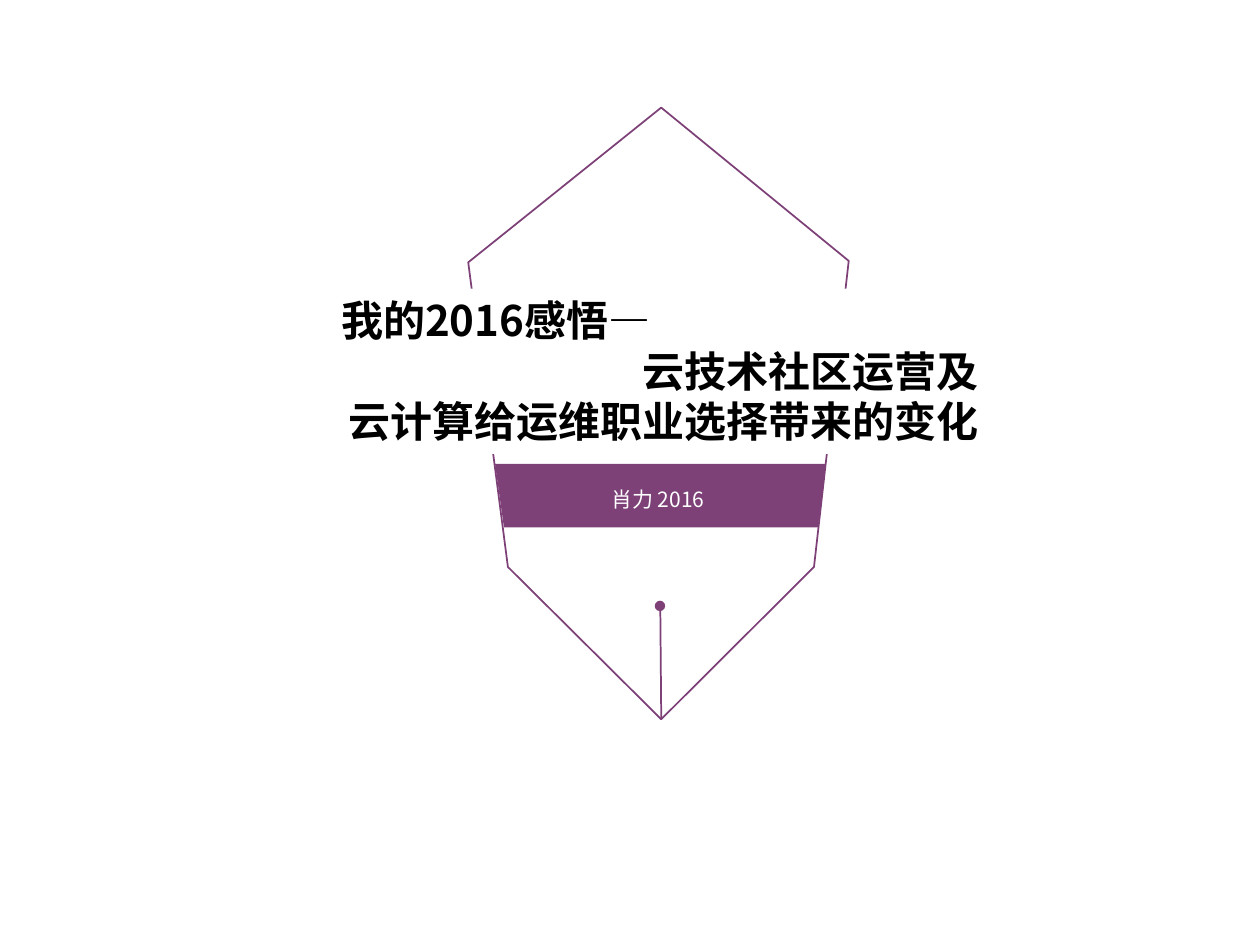
from pptx import Presentation
from pptx.dml.color import RGBColor
from pptx.enum.shapes import MSO_CONNECTOR, MSO_SHAPE
from pptx.enum.text import MSO_ANCHOR, PP_ALIGN
from pptx.oxml.ns import qn
from pptx.util import Cm, Pt

THEME = {
    "purple": RGBColor(0x7D, 0x41, 0x78),
    "white": RGBColor(0xFF, 0xFF, 0xFF),
    "black": RGBColor(0x00, 0x00, 0x00),
    "font": "Noto Sans CJK SC",
    "title": Pt(24),
    "caption": Pt(12),
    "stroke": Pt(1),
    "leading": 1.2,
}


def write_line(paragraph, text, *, size, color, bold=False, align=PP_ALIGN.LEFT):
    paragraph.alignment = align
    paragraph.line_spacing = Pt(size.pt * THEME["leading"])
    run = paragraph.add_run()
    run.text = text
    run.font.size = size
    run.font.bold = bold
    run.font.color.rgb = color
    run.font.name = THEME["font"]
    east_asian = run.font._element.makeelement(qn("a:ea"), {"typeface": THEME["font"]})
    run.font._element.find(qn("a:latin")).addnext(east_asian)


def draw_outline(shapes, corners):
    points = [(Cm(x), Cm(y)) for x, y in corners]
    builder = shapes.build_freeform(*points[0])
    builder.add_line_segments(points[1:], close=True)
    outline = builder.convert_to_shape()
    outline.shadow.inherit = False
    return outline


prs = Presentation()
prs.slide_width, prs.slide_height = Cm(25.4), Cm(19.05)
slide = prs.slides.add_slide(prs.slide_layouts[6])
shapes = slide.shapes

nib = draw_outline(shapes, [(9.44, 5.29), (13.33, 2.17), (17.11, 5.26),
                            (16.41, 11.43), (13.33, 14.5), (10.24, 11.43)])
nib.fill.background()
nib.line.color.rgb = THEME["purple"]
nib.line.width = THEME["stroke"]

band = draw_outline(shapes, [(9.98, 9.35), (16.65, 9.35), (16.49, 10.63), (10.16, 10.63)])
band.fill.solid()
band.fill.fore_color.rgb = THEME["purple"]
band.line.fill.background()

author = shapes.add_textbox(Cm(10.06), Cm(9.68), Cm(6.4), Cm(0.76)).text_frame
author.word_wrap = True
author.vertical_anchor = MSO_ANCHOR.MIDDLE
write_line(author.paragraphs[0], "肖力 2016", size=THEME["caption"],
           color=THEME["white"], align=PP_ALIGN.CENTER)

title = shapes.add_shape(MSO_SHAPE.RECTANGLE, Cm(6.63), Cm(5.82), Cm(13.34), Cm(3.33))
title.shadow.inherit = False
title.fill.solid()
title.fill.fore_color.rgb = THEME["white"]
title.line.fill.background()
title_text = title.text_frame
title_text.word_wrap = False
title_text.vertical_anchor = MSO_ANCHOR.TOP
title_lines = [
    ("我的2016感悟—", PP_ALIGN.LEFT),
    ("云技术社区运营及", PP_ALIGN.RIGHT),
    ("云计算给运维职业选择带来的变化", PP_ALIGN.RIGHT),
]
for index, (text, align) in enumerate(title_lines):
    paragraph = title_text.add_paragraph() if index else title_text.paragraphs[0]
    write_line(paragraph, text, size=THEME["title"], color=THEME["black"],
               bold=True, align=align)

slit = shapes.add_connector(MSO_CONNECTOR.STRAIGHT, Cm(13.33), Cm(14.5), Cm(13.31), Cm(12.17))
slit.line.color.rgb = THEME["purple"]
slit.line.width = THEME["stroke"]
slit_properties = slit._element.spPr
slit_properties.append(slit_properties.makeelement(qn("a:effectLst"), {}))

breather_hole = shapes.add_shape(MSO_SHAPE.OVAL, Cm(13.2), Cm(12.11), Cm(0.21), Cm(0.21))
breather_hole.shadow.inherit = False
breather_hole.fill.solid()
breather_hole.fill.fore_color.rgb = THEME["purple"]
breather_hole.line.fill.background()

prs.save("out.pptx")
